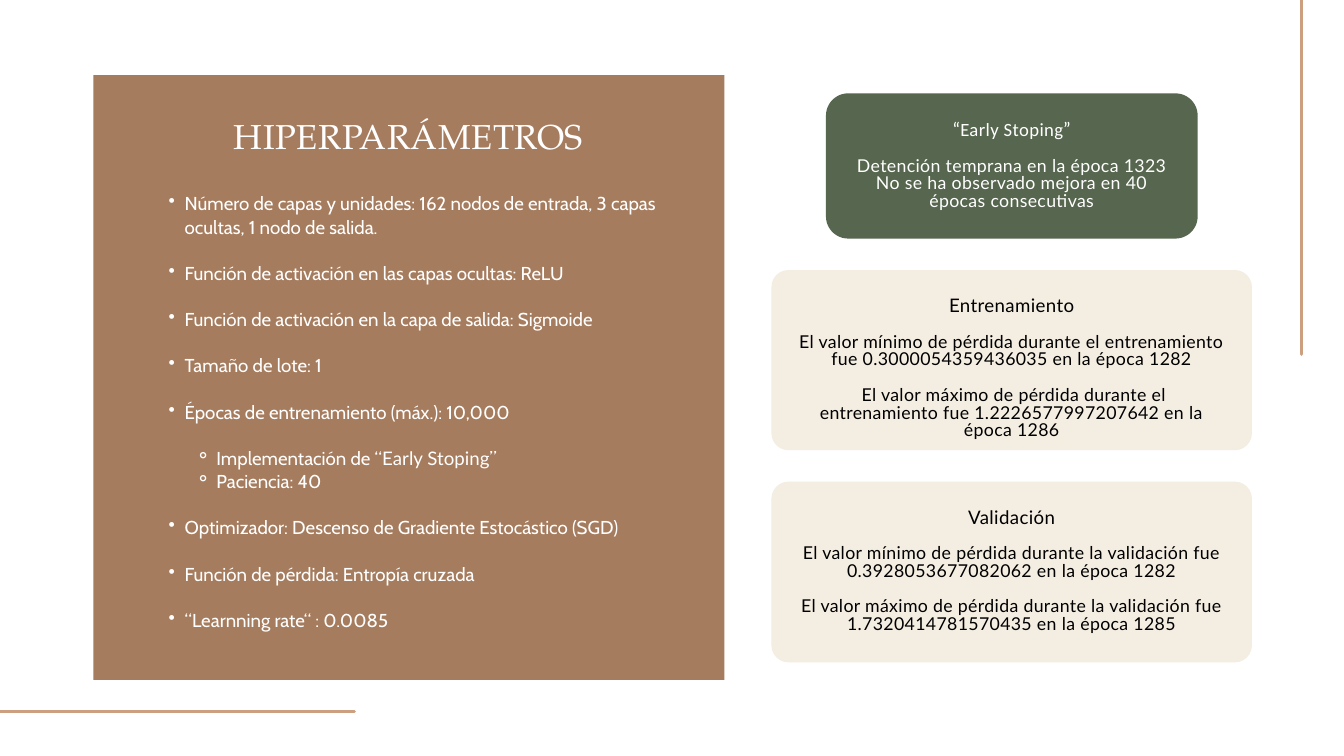
from lxml import etree
from pptx import Presentation
from pptx.dml.color import RGBColor
from pptx.enum.shapes import MSO_CONNECTOR, MSO_SHAPE
from pptx.enum.text import PP_ALIGN
from pptx.oxml.ns import qn
from pptx.util import Cm, Pt

LINE = MSO_CONNECTOR.STRAIGHT
RECTANGLE = MSO_SHAPE.RECTANGLE
ROUNDED = MSO_SHAPE.ROUNDED_RECTANGLE
LEFT, CENTER = PP_ALIGN.LEFT, PP_ALIGN.CENTER

COLORS = {
    "accent": "CB9F80",
    "panel": "A67C5E",
    "green": "57664E",
    "cream": "F4EDE1",
    "white": "FFFFFF",
    "black": "000000",
}
TITLE_FONT, LIST_FONT, CARD_FONT = "TeX Gyre Pagella", "Cabin", "Lato"
LIST_SPACING = 24.8
CARD_SPACING = 19
# Bullet level: character, left margin and hanging indent in cm
BULLETS = {1: ("•", 1.19, 0.61), 2: ("⚬", 2.39, 0.79)}

# Level, whether a gap comes before, text runs
HYPERPARAMETERS = [
    (1, False, "Número de capas y unidades: 162 nodos de entrada, 3 capas ocultas, 1 nodo de salida."),
    (1, True, "Función de activación en las capas ocultas: ReLU"),
    (1, True, "Función de activación en la capa de salida: Sigmoide"),
    (1, True, "Tamaño de lote: 1"),
    (1, True, "Épocas de entrenamiento (máx.): 10,000"),
    (2, True, ["Implementación de “", ("Early Stoping", "Lato"), "”"]),
    (2, False, "Paciencia: 40"),
    (1, True, "Optimizador: Descenso de Gradiente Estocástico (SGD)"),
    (1, True, "Función de pérdida: Entropía cruzada"),
    (1, True, "“Learnning rate“ : 0.0085"),
]

# Each card: box, corner radius, text inset, fill, text colour, heading, groups of lines
CARDS = [
    ((29.16, 10.21, 18.16, 6.81), 0.64, (0.95, 1.04), "cream", "black", "Entrenamiento", [
        ["El valor mínimo de pérdida durante el entrenamiento fue 0.3000054359436035 en la época 1282"],
        [" El valor máximo de pérdida durante el entrenamiento fue 1.2226577997207642 en la época 1286"],
    ]),
    ((29.16, 18.21, 18.16, 6.83), 0.64, (0.95, 1.04), "cream", "black", "Validación", [
        ["El valor mínimo de pérdida durante la validación fue", "0.3928053677082062 en la época 1282"],
        ["El valor máximo de pérdida durante la validación fue", "1.7320414781570435 en la época 1285"],
    ]),
    ((31.22, 3.53, 14.05, 5.49), 0.84, (0.74, 1.07), "green", "white",
     ["“", ("Early Stoping", "Calibri"), "”"], [
        ["Detención temprana en la época 1323", "No se ha observado mejora en 40 épocas consecutivas"],
    ]),
]


def color(name):
    return RGBColor.from_string(COLORS[name])


def add_text(frame, text, *, font, size, fill, spacing, before=0, align=LEFT, tracking=0, level=None):
    """Add one paragraph; text is a string or a list of strings and (string, font) pairs."""
    first = frame.paragraphs[0]
    paragraph = frame.add_paragraph() if first.runs else first
    paragraph.alignment = align
    paragraph.line_spacing = Pt(spacing)
    paragraph.space_before = Pt(before)
    if level:
        character, margin, hanging = BULLETS[level]
        paragraph.level = level - 1
        properties = paragraph._p.get_or_add_pPr()
        properties.set("marL", str(Cm(margin)))
        properties.set("indent", str(-Cm(hanging)))
        etree.SubElement(properties, qn("a:buChar")).set("char", character)
    for part in [text] if isinstance(text, str) else text:
        words, face = (part, font) if isinstance(part, str) else part
        run = paragraph.add_run()
        run.text = words
        run.font.name = face
        run.font.size = Pt(size)
        run.font.color.rgb = color(fill)
        if tracking:
            run._r.get_or_add_rPr().set("spc", str(round(tracking * 100)))


class SlideBuilder:
    def __init__(self, slide):
        self.slide = slide

    def line(self, *ends):
        connector = self.slide.shapes.add_connector(LINE, *map(Cm, ends))
        connector.line.color.rgb = color("accent")
        connector.line.width = Pt(3.75)
        connector.line._get_or_add_ln().set("cap", "rnd")
        etree.SubElement(connector._element.spPr, qn("a:effectLst"))

    def block(self, box, fill, radius=0):
        kind = ROUNDED if radius else RECTANGLE
        shape = self.slide.shapes.add_shape(kind, *map(Cm, box))
        if radius:
            shape.adjustments[0] = radius / min(box[2:])
        shape.shadow.inherit = False
        shape.fill.solid()
        shape.fill.fore_color.rgb = color(fill)
        shape.line.fill.background()

    def text_frame(self, *box):
        frame = self.slide.shapes.add_textbox(*map(Cm, box)).text_frame
        frame.word_wrap = True
        frame.margin_left = frame.margin_right = frame.margin_top = frame.margin_bottom = 0
        return frame

    def card(self, box, radius, inset, fill, text_color, heading, groups):
        self.block(box, fill, radius)
        left, top, width, height = box
        across, down = inset
        frame = self.text_frame(left + across, top + down, width - 2 * across, height - 2 * down)
        style = dict(font=CARD_FONT, fill=text_color, align=CENTER, tracking=0.4)
        add_text(frame, heading, size=20, spacing=20, **style)
        for group in groups:
            for index, line in enumerate(group):
                before = 0 if index else CARD_SPACING
                add_text(frame, line, size=19, spacing=CARD_SPACING, before=before, **style)


def main():
    presentation = Presentation()
    presentation.slide_width, presentation.slide_height = Cm(50.8), Cm(28.58)
    builder = SlideBuilder(presentation.slides.add_slide(presentation.slide_layouts[6]))

    builder.line(0, 26.9, 13.39, 26.9)
    builder.line(49.2, 0, 49.2, 13.39)

    builder.block((3.53, 2.84, 23.85, 22.86), "panel")
    title = builder.text_frame(7.92, 4.6, 15.06, 1.35)
    add_text(title, "HIPERPARÁMETROS", font=TITLE_FONT, size=37, fill="white",
             spacing=37, align=CENTER, tracking=0.7)

    bullet_list = builder.text_frame(5.79, 7.24, 19.96, 16.59)
    for level, gap, text in HYPERPARAMETERS:
        add_text(bullet_list, text, font=LIST_FONT, size=20, fill="white", spacing=LIST_SPACING,
                 before=LIST_SPACING if gap else 0, level=level)

    for card in CARDS:
        builder.card(*card)

    presentation.save("out.pptx")


if __name__ == "__main__":
    main()
